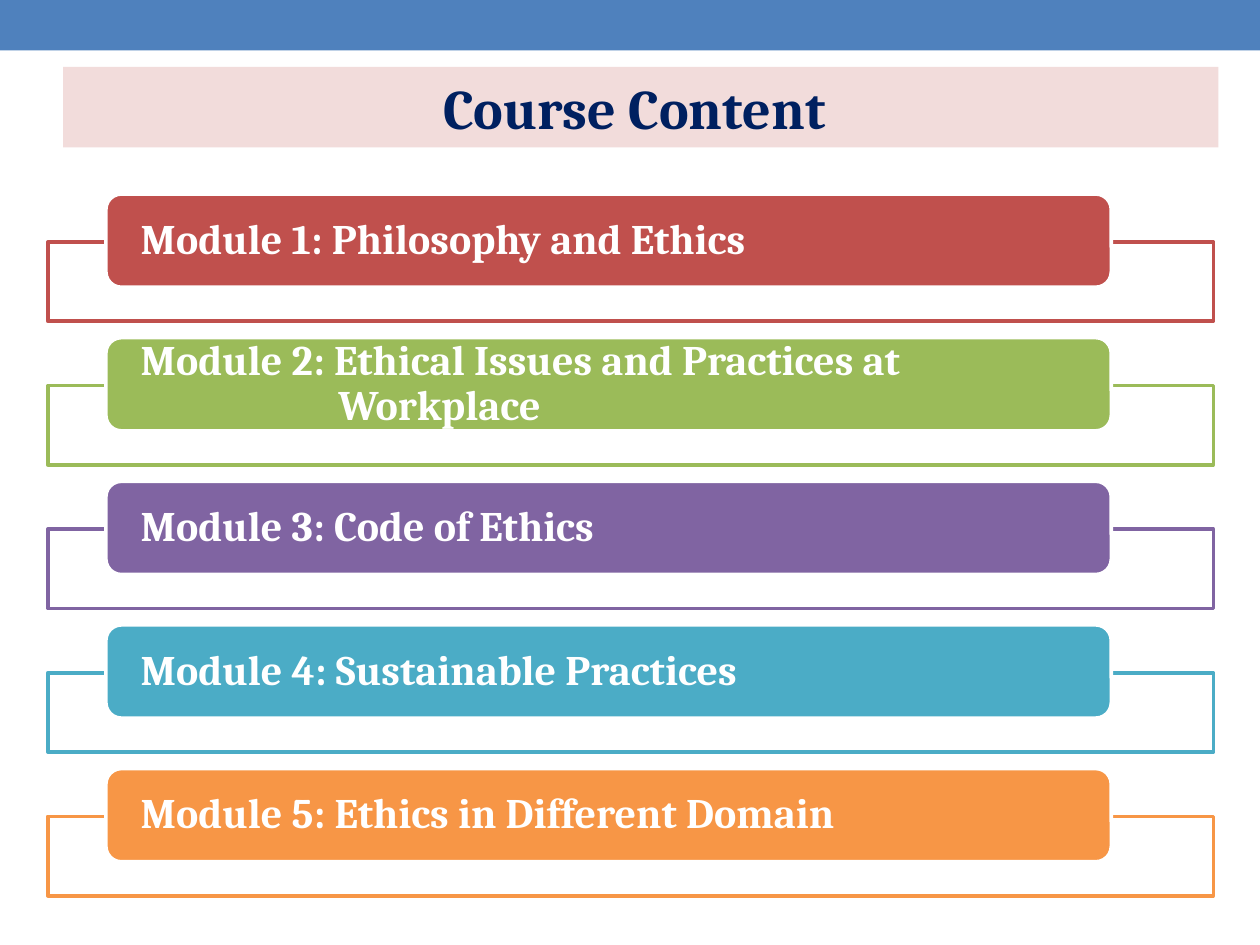
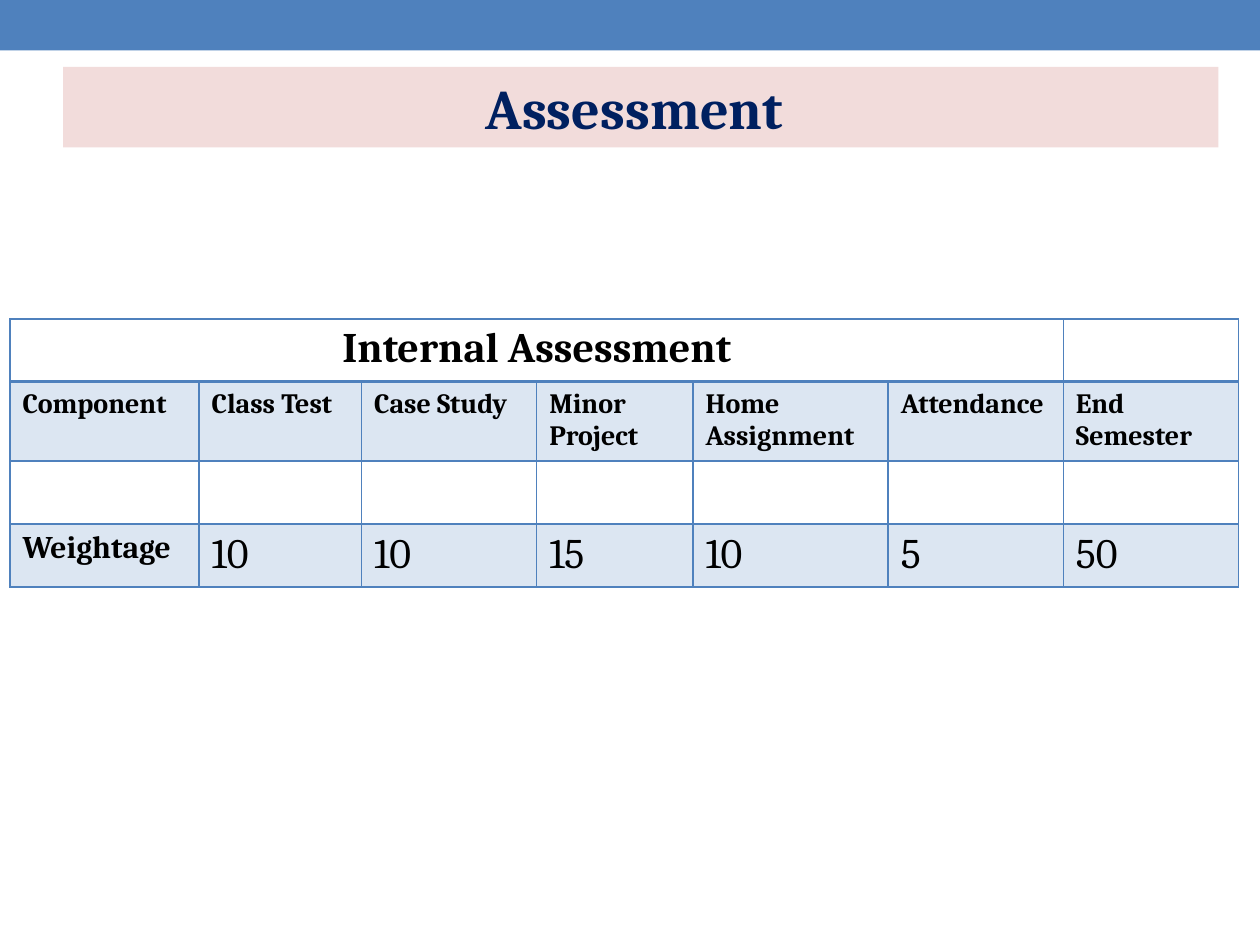
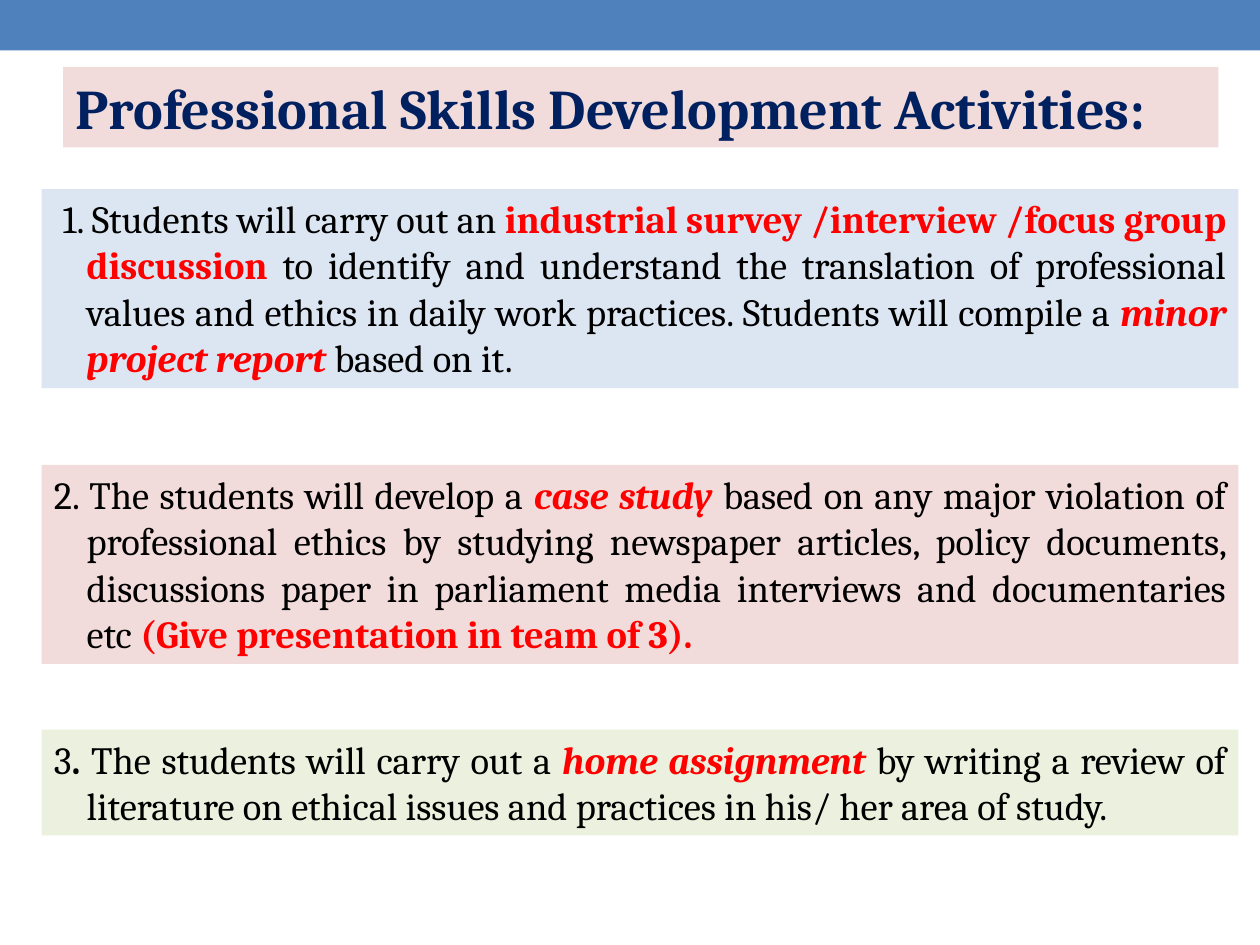
from lxml import etree
from pptx import Presentation
from pptx.dml.color import RGBColor
from pptx.enum.shapes import MSO_SHAPE
from pptx.enum.text import MSO_ANCHOR, MSO_AUTO_SIZE, PP_ALIGN
from pptx.oxml.ns import qn
from pptx.util import Inches, Pt

FONT = "Cambria"
WHITE = RGBColor(0xFF, 0xFF, 0xFF)
BLACK = RGBColor(0, 0, 0)
BLUE = RGBColor(0x4F, 0x81, 0xBD)
NAVY = RGBColor(0x00, 0x20, 0x60)
HIGHLIGHT = RGBColor(0xFF, 0, 0)
RED = RGBColor(0xC0, 0x50, 0x4D)
GREEN = RGBColor(0x9B, 0xBB, 0x59)
PURPLE = RGBColor(0x80, 0x64, 0xA2)
TEAL = RGBColor(0x4B, 0xAC, 0xC6)
ORANGE = RGBColor(0xF7, 0x96, 0x46)
PALE_BLUE = RGBColor(0xDC, 0xE6, 0xF2)
PALE_RED = RGBColor(0xF2, 0xDC, 0xDB)
PALE_GREEN = RGBColor(0xEB, 0xF1, 0xDE)

PLAIN = {}
BOLD = {"bold": True}
STRONG = {"bold": True, "color": HIGHLIGHT}
EMPHASIS = {"bold": True, "italic": True, "color": HIGHLIGHT}

# Text, hanging indent, colour
MODULES = [
    ("Module 1: Philosophy and Ethics", 1.19, RED),
    ("Module 2: Ethical Issues and Practices at Workplace", 1.57, GREEN),
    ("Module 3: Code of Ethics", 1.12, PURPLE),
    ("Module 4: Sustainable Practices", 0, TEAL),
    ("Module 5: Ethics in Different Domain", 0, ORANGE),
]

COLUMN_WIDTHS = [1.5, 1.29, 1.39, 1.24, 1.55, 1.39, 1.39]
ROW_HEIGHTS = [0.5, 0.63, 0.5, 0.5]
COMPONENTS = ["Component", "Class Test", "Case Study", "Minor Project",
              "Home Assignment", "Attendance", "End Semester"]
WEIGHTAGES = ["Weightage", "10", "10", "15", "10", "5", "50"]

# Top, height, fill, first-line indent, runs
ACTIVITIES = [
    (1.5, 1.58, PALE_BLUE, -0.19, [
        ("1. Students will carry out an ", PLAIN),
        ("industrial survey /interview /focus group discussion ", STRONG),
        ("to identify and understand the translation of professional values and "
         "ethics in daily work practices. Students will compile a ", PLAIN),
        ("minor project report ", EMPHASIS),
        ("based on it. ", PLAIN)]),
    (3.69, 1.58, PALE_RED, -0.26, [
        ("2. The students will develop a ", PLAIN),
        ("case study ", EMPHASIS),
        ("based on any major violation of professional ethics by studying newspaper "
         "articles, policy documents, discussions paper in parliament media "
         "interviews and documentaries etc ", PLAIN),
        ("(Give presentation in team of 3). ", STRONG)]),
    (5.79, 0.84, PALE_GREEN, -0.26, [
        ("3", PLAIN),
        (". ", BOLD),
        ("The students will carry out a ", PLAIN),
        ("home assignment ", EMPHASIS),
        ("by writing a review of literature on ethical issues and practices in "
         "his/ her area of study. ", PLAIN)]),
]


def add_run(paragraph, text, size, color=BLACK, bold=False, italic=False):
    run = paragraph.add_run()
    run.text = text
    values = {"name": FONT, "size": Pt(size), "bold": bold, "italic": italic}
    for name, value in values.items():
        setattr(run.font, name, value)
    run.font.color.rgb = color


def set_indent(paragraph, left, first_line):
    properties = paragraph._p.get_or_add_pPr()
    properties.set("marL", str(Inches(left)))
    properties.set("indent", str(Inches(first_line)))


def add_block(slide, kind, box, fill, line=None):
    shape = slide.shapes.add_shape(kind, *map(Inches, box))
    shape.shadow.inherit = False
    shape.fill.solid()
    shape.fill.fore_color.rgb = fill
    if line is None:
        shape.line.fill.background()
    else:
        shape.line.color.rgb = line
        shape.line.width = Pt(2.08)
    return shape


def add_titled_slide(presentation, text, alignment=PP_ALIGN.CENTER):
    slide = presentation.slides.add_slide(presentation.slide_layouts[5])
    add_block(slide, MSO_SHAPE.RECTANGLE, (0, 0, 10, 0.4), BLUE)
    title = slide.shapes.title
    box = {"left": 0.5, "top": 0.53, "width": 9.17, "height": 0.64}
    for name, value in box.items():
        setattr(title, name, Inches(value))
    title.fill.solid()
    title.fill.fore_color.rgb = PALE_RED
    frame = title.text_frame
    frame.auto_size = MSO_AUTO_SIZE.NONE
    frame.vertical_anchor = MSO_ANCHOR.TOP
    paragraph = frame.paragraphs[0]
    paragraph.alignment = alignment
    add_run(paragraph, text, 32, NAVY, bold=True)
    return slide


def add_module(slide, left, top, text, hanging, color):
    add_block(slide, MSO_SHAPE.RECTANGLE, (left, top + 0.38, 9.25, 0.63), WHITE, color)
    bar = add_block(slide, MSO_SHAPE.ROUNDED_RECTANGLE,
                    (left + 0.46, top, 7.98, 0.74), color, WHITE)
    frame = bar.text_frame
    values = {"margin_left": Inches(0.24), "margin_right": Inches(0.24),
              "margin_top": 0, "margin_bottom": 0, "word_wrap": True,
              "vertical_anchor": MSO_ANCHOR.MIDDLE}
    for name, value in values.items():
        setattr(frame, name, value)
    paragraph = frame.paragraphs[0]
    paragraph.alignment = PP_ALIGN.LEFT
    paragraph.line_spacing = 0.9
    set_indent(paragraph, hanging, -hanging)
    add_run(paragraph, text, 24, WHITE, bold=True)


def set_borders(cell, **widths):
    """Draw the four cell edges, 1 point wide unless a width is given."""
    properties = cell._tc.get_or_add_tcPr()
    for edge in ("lnL", "lnR", "lnT", "lnB"):
        line = etree.SubElement(properties, qn(f"a:{edge}"), w=str(Pt(widths.get(edge, 1))))
        fill = etree.SubElement(line, qn("a:solidFill"))
        etree.SubElement(fill, qn("a:srgbClr"), val=str(BLUE))


def fill_cell(cell, text, size, bold=True, alignment=PP_ALIGN.LEFT):
    paragraph = cell.text_frame.paragraphs[0]
    paragraph.alignment = alignment
    add_run(paragraph, text, size, bold=bold)


def add_assessment_table(slide, left, top):
    table = slide.shapes.add_table(
        len(ROW_HEIGHTS), len(COLUMN_WIDTHS), Inches(left), Inches(top),
        Inches(sum(COLUMN_WIDTHS)), Inches(sum(ROW_HEIGHTS))).table
    table.first_row = table.horz_banding = False
    for column, width in zip(table.columns, COLUMN_WIDTHS):
        column.width = Inches(width)
    for index, (row, height) in enumerate(zip(table.rows, ROW_HEIGHTS)):
        row.height = Inches(height)
        for cell in row.cells:
            set_borders(cell, **{0: {"lnB": 2}, 1: {"lnT": 2}}.get(index, {}))
            if index % 2:
                cell.fill.solid()
                cell.fill.fore_color.rgb = PALE_BLUE
            else:
                cell.fill.background()
    table.cell(0, 0).merge(table.cell(0, 5))
    fill_cell(table.cell(0, 0), "Internal Assessment", 24, alignment=PP_ALIGN.CENTER)
    for index, (component, weightage) in enumerate(zip(COMPONENTS, WEIGHTAGES)):
        fill_cell(table.cell(1, index), component, 16)
        is_label = index == 0
        fill_cell(table.cell(3, index), weightage, 18 if is_label else 24, bold=is_label)


def add_activity(slide, box, fill, first_line, runs):
    panel = add_block(slide, MSO_SHAPE.RECTANGLE, box, fill)
    panel.text_frame.word_wrap = True
    panel.text_frame.vertical_anchor = MSO_ANCHOR.TOP
    paragraph = panel.text_frame.paragraphs[0]
    paragraph.alignment = PP_ALIGN.JUSTIFY
    set_indent(paragraph, 0.26, first_line)
    for text, style in runs:
        add_run(paragraph, text, 22, **style)


def main():
    presentation = Presentation()
    presentation.slide_width = Inches(10)
    presentation.slide_height = Inches(7.5)

    slide = add_titled_slide(presentation, "Course Content ")
    for index, module in enumerate(MODULES):
        add_module(slide, 0.38, 1.54 + 1.14 * index, *module)

    slide = add_titled_slide(presentation, "Assessment ")
    add_assessment_table(slide, 0.08, 2.53)

    slide = add_titled_slide(presentation, "Professional Skills Development Activities:",
                             PP_ALIGN.LEFT)
    for top, height, *content in ACTIVITIES:
        add_activity(slide, (0.33, top, 9.5, height), *content)

    presentation.save("out.pptx")


if __name__ == "__main__":
    main()
